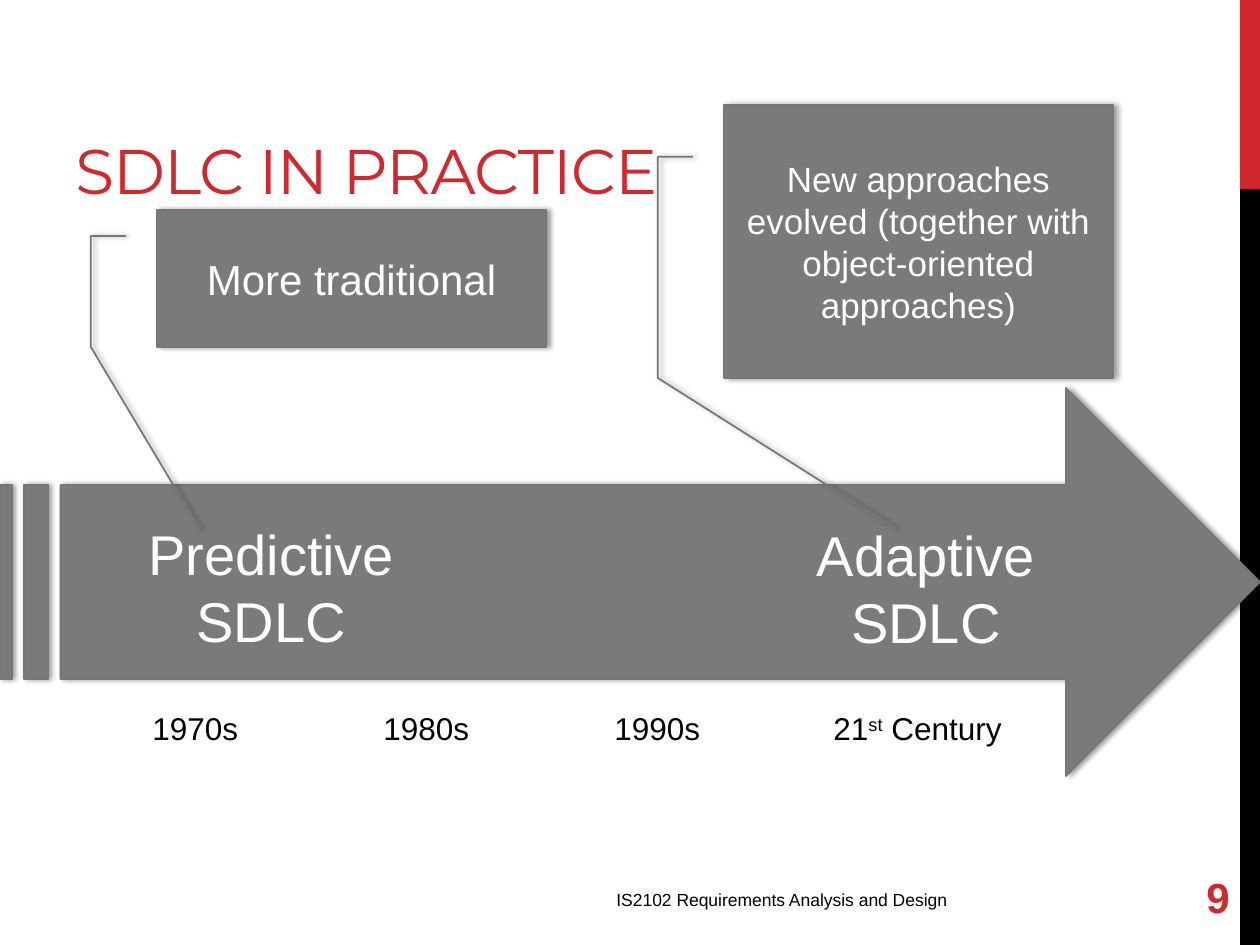
from lxml import etree
from pptx import Presentation
from pptx.dml.color import RGBColor
from pptx.enum.shapes import MSO_SHAPE
from pptx.enum.text import MSO_ANCHOR, PP_ALIGN
from pptx.oxml.ns import qn
from pptx.util import Pt

RED = RGBColor(0xD1, 0x28, 0x2E)
BLACK = RGBColor(0, 0, 0)
WHITE = RGBColor(0xFF, 0xFF, 0xFF)
GRAY = RGBColor(0x7A, 0x7A, 0x7A)
OUTLINE = RGBColor(0x77, 0x77, 0x77)

TITLE = "SDLC IN PRACTICE"
FOOTER = "IS2102 Requirements Analysis and Design"
SLIDE_NUMBER = "9"

# All boxes are (left, top, width, height) in px, 126 px to the inch.
SIDE_BANDS = [((1240, 0, 20, 189), RED), ((1240, 189, 20, 756), BLACK)]
ARROW = (0, 388, 1260, 388)
APPROACHES = [("Predictive\nSDLC", (135, 513, 273, 149)),
              ("Adaptive\nSDLC", (803, 514, 246, 149))]
DECADES = ["1970s", "1980s", "1990s"]
DECADE_LEFT, DECADE_STEP, DECADE_WIDTH = 140, 231, 112
DATE_TOP, DATE_HEIGHT = 703, 50
CENTURY = ["21", "st", " Century"]
CENTURY_LEFT, CENTURY_WIDTH = 821, 198
# text, box, text size, leader tip as (y, x) fractions of the box
CALLOUTS = [
    ("More traditional", (157, 210, 389, 137), 24, (2.33, 0.11)),
    ("New approaches evolved (together with object-oriented approaches)",
     (724, 105, 389, 273), 20, (1.55, 0.44)),
]
LEADER_BENDS = [0.19, -0.08, 0.19, -0.17, 1, -0.17]


def px(length):
    return round(length * 914400 / 126)


def write(shape, text, size, color, align=PP_ALIGN.LEFT,
          anchor=MSO_ANCHOR.TOP, wrap=True, font="Arial", bold=False):
    frame = shape.text_frame
    frame.word_wrap = wrap
    frame.vertical_anchor = anchor
    frame.text = text
    for paragraph in frame.paragraphs:
        paragraph.alignment = align
        for run in paragraph.runs:
            run.font.name = font
            run.font.size = Pt(size)
            run.font.bold = bold
            run.font.color.rgb = color


def add_text(slide, box, *args, **style):
    label = slide.shapes.add_textbox(*map(px, box))
    write(label, *args, **style)
    return label


def add_filled(slide, kind, box, color):
    shape = slide.shapes.add_shape(kind, *map(px, box))
    shape.shadow.inherit = False
    shape.fill.solid()
    shape.fill.fore_color.rgb = color
    shape.line.fill.background()
    return shape


def add_raised(slide, kind, box):
    """Add a gray outlined shape with a soft shadow to its right."""
    shape = add_filled(slide, kind, box, GRAY)
    shape.line.color.rgb = OUTLINE
    shape.line.width = Pt(1)
    effects = shape._element.spPr.find(qn("a:effectLst"))
    shadow = etree.SubElement(effects, qn("a:outerShdw"), blurRad=str(Pt(3.1)),
                              dist=str(Pt(1.8)), dir="0", rotWithShape="0")
    color = etree.SubElement(shadow, qn("a:srgbClr"), val=str(BLACK))
    etree.SubElement(color, qn("a:alpha"), val="40000")
    return shape


def add_century(slide):
    century = add_text(slide, (CENTURY_LEFT, DATE_TOP, CENTURY_WIDTH, DATE_HEIGHT),
                       "", 18, BLACK, wrap=False)
    paragraph = century.text_frame.paragraphs[0]
    for part in CENTURY:
        run = paragraph.add_run()
        run.text = part
        run.font.name = "Arial"
        run.font.size = Pt(18)
        run.font.color.rgb = BLACK
    paragraph.runs[1].font._element.set("baseline", "30000")


def main():
    deck = Presentation()
    deck.slide_width, deck.slide_height = px(1260), px(945)
    slide = deck.slides.add_slide(deck.slide_layouts[6])

    for box, color in SIDE_BANDS:
        add_filled(slide, MSO_SHAPE.RECTANGLE, box, color)

    title = add_text(slide, (63, 21, 798, 189), TITLE, 36, RED,
                     anchor=MSO_ANCHOR.BOTTOM, font="Montserrat")
    title.text_frame.margin_bottom = px(3)
    title.text_frame.paragraphs[0].runs[0].font._element.set("spc", "-60")
    add_text(slide, (604, 883, 436, 50), FOOTER, 10, BLACK)
    add_text(slide, (1061, 872, 181, 50), SLIDE_NUMBER, 24, RED,
             align=PP_ALIGN.RIGHT, anchor=MSO_ANCHOR.MIDDLE, bold=True)

    add_raised(slide, MSO_SHAPE.STRIPED_RIGHT_ARROW, ARROW)
    for text, box in APPROACHES:
        add_text(slide, box, text, 32, WHITE, align=PP_ALIGN.CENTER, wrap=False)
    for index, decade in enumerate(DECADES):
        left = DECADE_LEFT + index * DECADE_STEP
        add_text(slide, (left, DATE_TOP, DECADE_WIDTH, DATE_HEIGHT),
                 decade, 18, BLACK, wrap=False)
    add_century(slide)

    for text, box, size, tip in CALLOUTS:
        callout = add_raised(slide, MSO_SHAPE.LINE_CALLOUT_3, box)
        for index, value in enumerate([*LEADER_BENDS, *tip]):
            callout.adjustments[index] = value
        write(callout, text, size, WHITE, align=PP_ALIGN.CENTER,
              anchor=MSO_ANCHOR.MIDDLE)

    deck.save("out.pptx")


if __name__ == "__main__":
    main()
